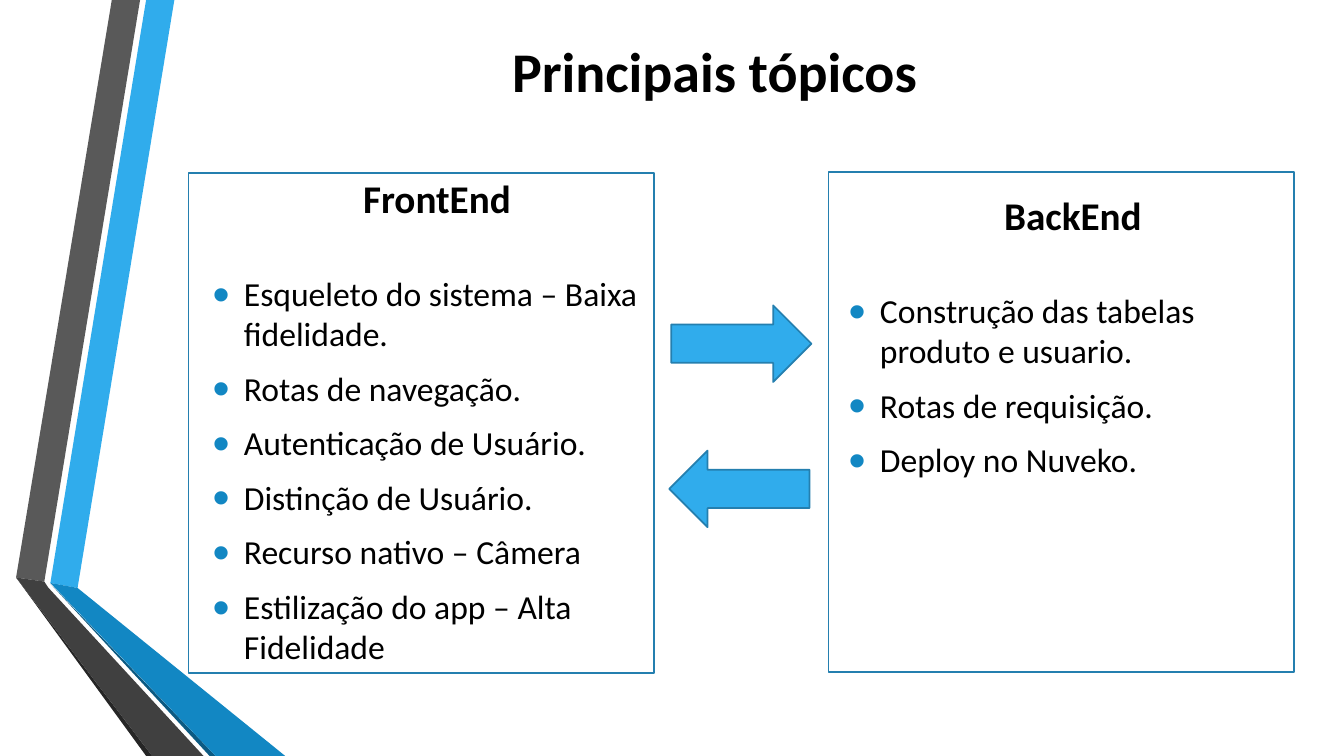
from lxml import etree
from pptx import Presentation
from pptx import util as u
from pptx.dml.color import RGBColor
from pptx.enum import shapes, text
from pptx.oxml import ns

COLORS = {
    "sky": "30ACEC", "blue": "1287C3", "navy": "0C5A82", "edge": "247FAF",
    "gray": "595959", "charcoal": "404040", "shade": "262626", "ink": "000000",
}
COLUMNS, ROWS = 160, 90
RIBBONS = [
    ("sky", [(6, 69.4), (9.24, 70), (20.76, 0), (17.4, 0)]),
    ("gray", [(16.68, 0), (13.32, 0), (1.92, 68.76), (5.28, 69.24)]),
    ("shade", [(1.92, 68.76), (17.4, 90), (18.12, 90)]),
    ("navy", [(6, 69.48), (24.96, 90), (25.68, 90)]),
    ("blue", [(6, 69.4), (25.68, 90), (33.96, 90), (9.24, 70)]),
    ("charcoal", [(24.24, 90), (5.76, 69.96), (5.28, 69.24), (1.92, 68.76), (18.12, 90)]),
]
FRONTEND = [
    "Esqueleto do sistema – Baixa fidelidade.", "Rotas de navegação.",
    "Autenticação de Usuário.", "Distinção de Usuário.",
    "Recurso nativo – Câmera", "Estilização do app – Alta Fidelidade",
]
BACKEND = ["Construção das tabelas produto e usuario.", "Rotas de requisição.", "Deploy no Nuveko."]


class TopicSlide:
    font = "Calibri"

    def __init__(self, deck):
        self.column = deck.slide_width / COLUMNS
        self.row = deck.slide_height / ROWS
        self.slide = deck.slides.add_slide(deck.slide_layouts[3])

    def box(self, left, top, width, height):
        return (round(left * self.column), round(top * self.row),
                round(width * self.column), round(height * self.row))

    def color(self, name):
        return RGBColor.from_string(COLORS[name])

    def paint(self, shape, fill=None, line=None):
        shape.shadow.inherit = False
        if fill:
            shape.fill.solid()
            shape.fill.fore_color.rgb = self.color(fill)
        else:
            shape.fill.background()
        if line:
            shape.line.color.rgb = self.color(line)
            shape.line.width = u.Pt(1.25)
        else:
            shape.line.fill.background()

    def ribbon(self, fill, corners):
        points = [(round(x * self.column), round(y * self.row)) for x, y in corners]
        outline = self.slide.shapes.build_freeform(*points[0])
        outline.add_line_segments(points[1:], close=True)
        self.paint(outline.convert_to_shape(), fill)

    def preset(self, kind, place, fill=None, rotation=0):
        shape = self.slide.shapes.add_shape(kind, *self.box(*place))
        shape.rotation = rotation
        self.paint(shape, fill, "edge")

    def place(self, index, place, anchor):
        holder = self.slide.placeholders[index]
        holder.left, holder.top, holder.width, holder.height = self.box(*place)
        frame = holder.text_frame
        frame.word_wrap = True
        frame.auto_size = text.MSO_AUTO_SIZE.NONE
        frame.vertical_anchor = anchor
        frame.margin_top = frame.margin_bottom = 0
        return frame

    def style(self, paragraph, size, bold=False):
        for run in paragraph.runs:
            run.font.name = self.font
            run.font.size = u.Pt(size)
            run.font.bold = bold
            run.font.color.rgb = self.color("ink")

    def title(self, words, place):
        frame = self.place(0, place, text.MSO_ANCHOR.MIDDLE)
        frame.text = words
        frame.paragraphs[0].alignment = text.PP_ALIGN.CENTER
        self.style(frame.paragraphs[0], 40, True)

    def bullet(self, paragraph):
        properties = paragraph._p.get_or_add_pPr()
        indent = u.Inches(0.31)
        properties.set("marL", str(indent))
        properties.set("indent", str(-indent))
        tint = etree.SubElement(properties, ns.qn("a:buClr"))
        etree.SubElement(tint, ns.qn("a:srgbClr"), val=COLORS["blue"])
        etree.SubElement(properties, ns.qn("a:buSzPct"), val="145000")
        etree.SubElement(properties, ns.qn("a:buFont"), typeface="Arial")
        etree.SubElement(properties, ns.qn("a:buChar"), char="•")

    def topics(self, index, heading, items, place):
        frame = self.place(index, place, text.MSO_ANCHOR.TOP)
        frame.text = "\n".join([heading, *items])
        lead, *points = frame.paragraphs
        properties = lead._p.get_or_add_pPr()
        properties.set("marL", "0")
        properties.set("indent", "0")
        etree.SubElement(properties, ns.qn("a:buNone"))
        lead.alignment = text.PP_ALIGN.CENTER
        lead.space_before = u.Pt(0)
        lead.space_after = u.Pt(34)
        self.style(lead, 28, True)
        for point in points:
            self.bullet(point)
            point.line_spacing = 0.98
            point.space_before = u.Pt(4.8)
            point.space_after = u.Pt(6)
            self.style(point, 24)


def main():
    deck = Presentation()
    deck.slide_width, deck.slide_height = u.Emu(12192000), u.Inches(7.5)
    page = TopicSlide(deck)
    for fill, corners in RIBBONS:
        page.ribbon(fill, corners)
    page.title("Principais tópicos", (19.32, 2.16, 131.52, 12.36))
    page.topics(1, "FrontEnd", FRONTEND, (24.12, 20.7, 55.8, 59.5))
    page.topics(2, "BackEnd", BACKEND, (99.84, 22.74, 55.8, 40))
    for left, top in [(22.44, 20.64), (98.64, 20.52)]:
        page.preset(shapes.MSO_SHAPE.RECTANGLE, (left, top, 55.44, 59.52))
    for left, top, rotation in [(79.92, 36.36, 0), (79.68, 53.64, 180)]:
        page.preset(shapes.MSO_SHAPE.RIGHT_ARROW, (left, top, 16.68, 9.12), "sky", rotation)
    deck.save("out.pptx")


if __name__ == "__main__":
    main()
